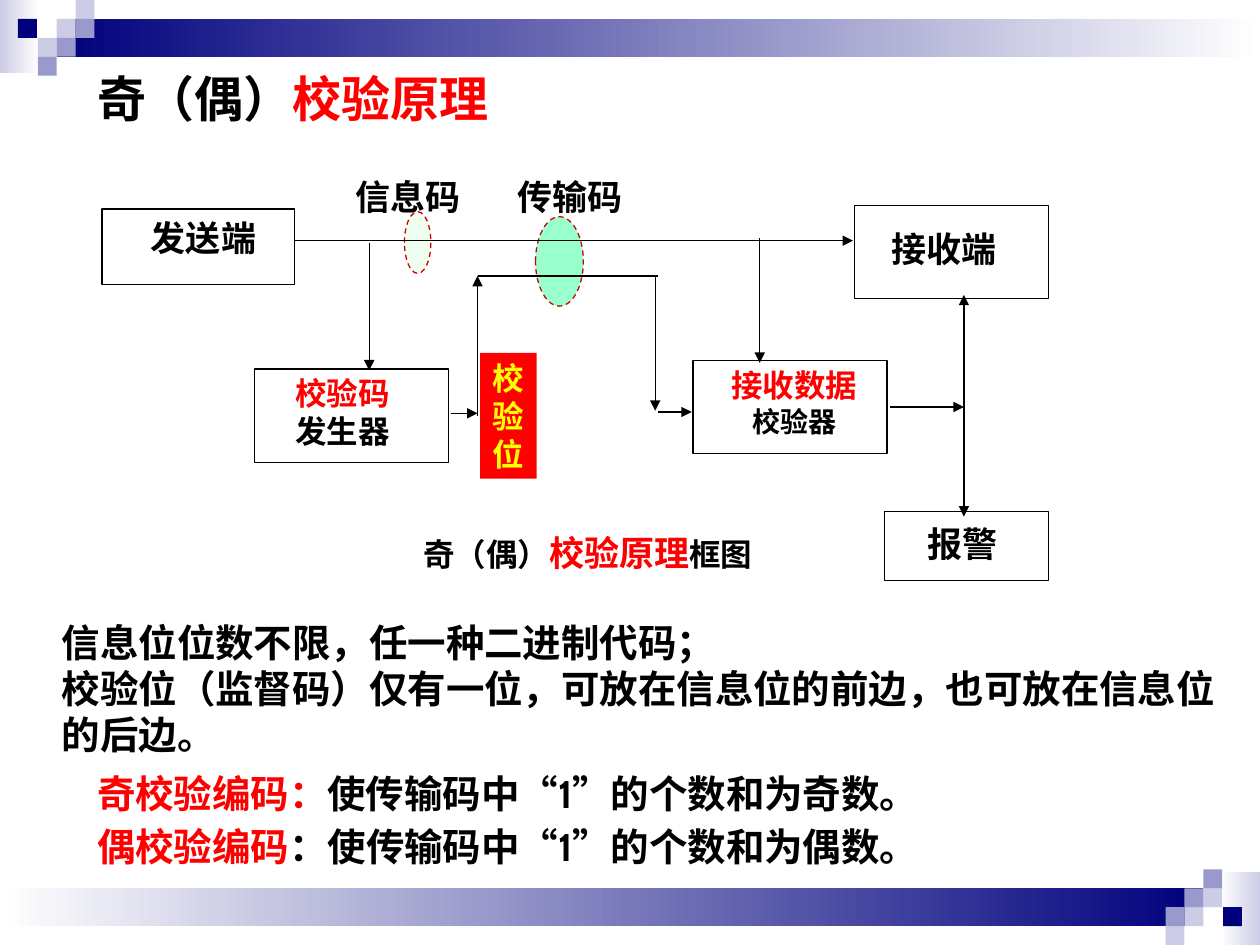
"""Builds a slide explaining the principle of odd and even parity checking."""
from lxml.etree import SubElement
from pptx import Presentation
from pptx.dml.color import RGBColor
from pptx.enum.dml import MSO_LINE
from pptx.enum.lang import MSO_LANGUAGE_ID as Language
from pptx.enum.shapes import MSO_CONNECTOR as Connector, MSO_SHAPE as Shape
from pptx.enum.text import MSO_ANCHOR as Anchor, MSO_AUTO_SIZE as AutoSize, PP_ALIGN as Align
from pptx.oxml.ns import qn
from pptx.util import Inches, Pt

WIDTH, HEIGHT = 10, 7.5
COLORS = {
    "black": "000000", "white": "FFFFFF", "red": "FF0000", "yellow": "FFFF00",
    "navy": "00007D", "lavender": "CCCCE6", "violet": "9999CC",
    "dash": "CC0000", "pale": "EFFFEF", "mint": "99FFCC",
}
TIMES, CABIN, ARIAL = "Times New Roman", "Cabin", "Arial"

TILE = 0.15
BANDS = [((0, 0, 0.31, 0.58), "lavender"), ((0.45, 0.15, 9.55, 0.3), "navy")]
TILES = [
    (3, 1, "lavender"), (4, 0, "lavender"), (4, 1, "violet"), (2, 2, "lavender"),
    (0.95, 1, "navy"), (3, 2, "violet"), (2, 3, "violet"),
]

TITLE = [[("奇（偶）", 28, ARIAL, "black"), ("校验原理", 28, ARIAL, "red")]]
NOTES = [
    [("信息位位数不限，任一种二进制代码；", 22, CABIN, "black")],
    [("校验位（监督码）仅有一位，可放在信息位的前边，也可放在信息位的后边。", 22, CABIN, "black")],
]
RULES = [
    [(head, 22, CABIN, "red"), (lead, 22, CABIN, "black"), ("“", 22, TIMES, "black"),
     ("1", 22, CABIN, "black"), ("”", 22, TIMES, "black"),
     (f"的个数和为{parity}数。", 22, CABIN, "black")]
    for head, lead, parity in [
        ("奇校验编码：", "使传输码中", "奇"), ("偶校验编码", "：使传输码中", "偶")]
]

CHECK_BIT = [[("校验位", 18, CABIN, "yellow")]]
BOXES = [
    (0.81, 1.66, 1.53, 0.6), (6.78, 1.63, 1.54, 0.74), (2.02, 2.93, 1.54, 0.74),
    (5.5, 2.86, 1.54, 0.74), (7.02, 4.06, 1.3, 0.55),
]
WIRES = [
    (7.65, 3.25, 7.65, 2.34, True), (7.65, 3.2, 7.65, 4.1, True),
    (5.22, 3.27, 5.49, 3.27, True), (3.58, 3.28, 3.79, 3.28, True),
    (3.79, 3.3, 3.79, 2.19, True), (3.79, 2.19, 5.22, 2.19, False),
    (5.2, 2.19, 5.2, 3.26, True), (2.34, 1.91, 6.77, 1.91, True),
    (2.93, 1.93, 2.93, 2.94, True), (6.03, 1.89, 6.03, 2.88, True),
    (7.06, 3.23, 7.65, 3.23, True),
]
CODE_MARKS = [((3.21, 1.68, 0.21, 0.49), "pale"), ((4.25, 1.72, 0.38, 0.71), "mint")]
CROSSINGS = [
    (3.14, 1.91, 3.56, 1.91, False), (4.17, 2.19, 4.76, 2.19, False),
    (4.25, 1.91, 4.67, 1.91, False),
]
SHORT_LABELS = [
    ("接收端", 6.98, 1.76, 1.03), ("发送端", 1.1, 1.67, 1.03), ("报警", 7.26, 4.1, 0.75),
    ("信息码", 2.72, 1.34, 1.03), ("传输码", 4.01, 1.34, 1.03),
]
GENERATOR = [[("校验码", 18, ARIAL, "red")], [("发生器", 18, TIMES, "black")]]
CHECKER = [[("接收数据", 18, ARIAL, "red"), ("校验器", 16, TIMES, "black")]]
CAPTION = [[("奇（偶）", 18, TIMES, "black"), ("校验原理", 20, TIMES, "red"),
            ("框图", 18, TIMES, "black")]]


def rgb(name):
    return RGBColor.from_string(COLORS[name])


def inches(*values):
    return [Inches(value) for value in values]


def add_shape(slide, kind, area, fill=None, line=None):
    shape = slide.shapes.add_shape(kind, *inches(*area))
    shape.shadow.inherit = False
    if fill:
        shape.fill.solid()
        shape.fill.fore_color.rgb = rgb(fill)
    else:
        shape.fill.background()
    if line:
        shape.line.color.rgb = rgb(line)
        shape.line.width = Pt(0.75)
    else:
        shape.line.fill.background()
    return shape


def add_wire(slide, x1, y1, x2, y2, arrow):
    wire = slide.shapes.add_connector(Connector.STRAIGHT, *inches(x1, y1, x2, y2))
    wire.line.color.rgb = rgb("black")
    wire.line.width = Pt(0.75)
    if arrow:
        SubElement(wire.line._get_or_add_ln(), qn("a:tailEnd"), type="triangle")
    SubElement(wire._element.spPr, qn("a:effectLst"))


def write(shape, paragraphs, align=Align.LEFT, gap=0, wrap=True):
    frame = shape.text_frame
    frame.word_wrap = wrap
    frame.auto_size = AutoSize.NONE
    frame.vertical_anchor = Anchor.TOP
    for index, runs in enumerate(paragraphs):
        paragraph = frame.add_paragraph() if index else frame.paragraphs[0]
        properties = paragraph._p.get_or_add_pPr()
        properties.set("marL", "0")
        properties.set("indent", "0")
        SubElement(properties, qn("a:buNone"))
        paragraph.alignment = align
        paragraph.space_before = Pt(gap if index else 0)
        for text, size, font, color in runs:
            run = paragraph.add_run()
            run.text = text
            run.font.size = Pt(size)
            run.font.name = font
            run.font.bold = True
            run.font.color.rgb = rgb(color)
            run.font.language_id = Language.SIMPLIFIED_CHINESE


def add_label(slide, area, paragraphs, **options):
    write(slide.shapes.add_textbox(*inches(*area)), paragraphs, **options)


def fill_placeholder(shape, area, paragraphs, gap=0):
    shape.left, shape.top, shape.width, shape.height = inches(*area)
    write(shape, paragraphs, gap=gap)


def add_ornament(slide, turned):
    def place(left, top, width, height):
        if turned:
            return WIDTH - left - width, HEIGHT - top - height, width, height
        return left, top, width, height

    for area, color in BANDS:
        band = add_shape(slide, Shape.RECTANGLE, place(*area), color)
        band.fill.gradient()
        band.fill.gradient_angle = 0
        for stop, name in zip(band.fill.gradient_stops, (color, "white")):
            stop.color.rgb = rgb(name)
        band.rotation = 180 if turned else 0
    for column, row, color in TILES:
        area = place(column * TILE, row * TILE, TILE, TILE)
        add_shape(slide, Shape.RECTANGLE, area, color)


def main():
    presentation = Presentation()
    presentation.slide_width, presentation.slide_height = inches(WIDTH, HEIGHT)
    slide = presentation.slides.add_slide(presentation.slide_layouts[3])
    title, notes, rules = slide.placeholders
    fill_placeholder(title, (0.67, 0.49, 3.78, 0.57), TITLE)
    fill_placeholder(notes, (0.39, 4.86, 9.56, 1.2), NOTES)
    fill_placeholder(rules, (0.67, 6.06, 9.14, 0.89), RULES, gap=4)
    for turned in (False, True):
        add_ornament(slide, turned)

    check_bit = add_shape(slide, Shape.RECTANGLE, (3.81, 2.8, 0.45, 1), "red")
    write(check_bit, CHECK_BIT)
    for area in BOXES:
        add_shape(slide, Shape.RECTANGLE, area, line="black")
    for wire in WIRES:
        add_wire(slide, *wire)
    for area, color in CODE_MARKS:
        mark = add_shape(slide, Shape.OVAL, area, color, "dash")
        mark.line.dash_style = MSO_LINE.DASH
    for wire in CROSSINGS:
        add_wire(slide, *wire)

    for text, left, top, width in SHORT_LABELS:
        add_label(slide, (left, top, width, 0.44), [[(text, 20, TIMES, "black")]], wrap=False)
    add_label(slide, (2.13, 2.92, 1.18, 0.7), GENERATOR, align=Align.CENTER)
    add_label(slide, (5.63, 2.86, 1.35, 0.67), CHECKER, align=Align.CENTER)
    add_label(slide, (3.26, 4.17, 2.89, 0.45), CAPTION)
    presentation.save("out.pptx")


if __name__ == "__main__":
    main()
